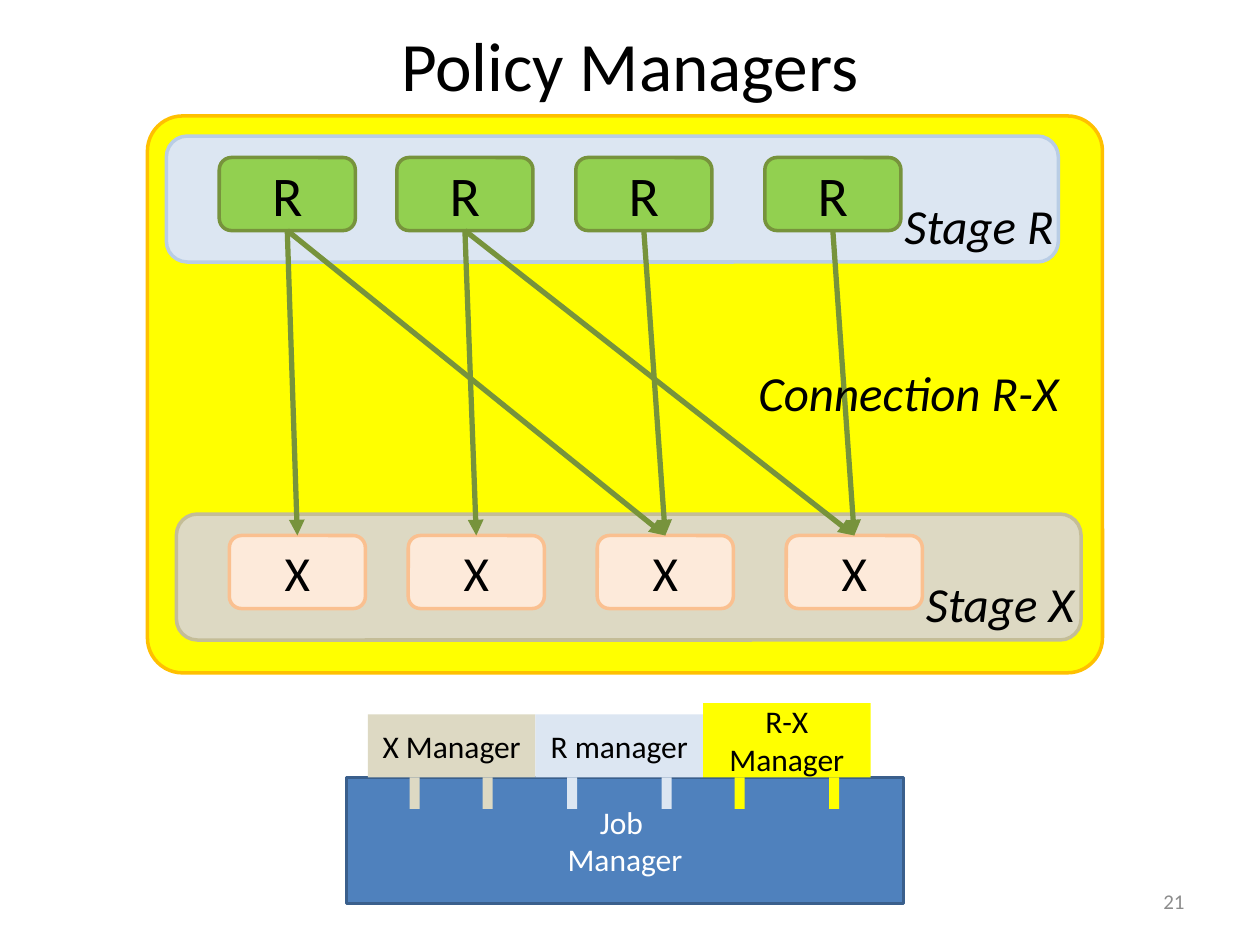
from typing import NamedTuple, Optional

from lxml.etree import SubElement
from pptx import Presentation
from pptx.dml.color import RGBColor
from pptx.enum.shapes import MSO_CONNECTOR, MSO_SHAPE
from pptx.enum.text import MSO_ANCHOR, MSO_AUTO_SIZE, PP_ALIGN
from pptx.oxml.ns import qn
from pptx.util import Inches, Pt

FONT = "Calibri"
BLACK, WHITE, GRAY = "000000", "FFFFFF", "8C8C8C"
YELLOW, PALE_BLUE, TAN = "FFFF00", "DCE6F2", "DDD9C3"
OLIVE = "77933C"
NODE_W, NODE_H = 1.08, 0.58
R_TOP, X_TOP = 1.25, 4.25
TAB_W, JOB_TOP = 1.33, 6.17


class Box(NamedTuple):
    left: float
    top: float
    width: float
    height: float


class Style(NamedTuple):
    fill: str
    line: Optional[str] = None
    size: float = 18
    color: str = BLACK
    rounded: bool = False


class Tab(NamedTuple):
    text: str
    left: float
    top: float
    fill: str
    prongs: tuple[float, float]


def rgb(value: str) -> RGBColor:
    return RGBColor.from_string(value)


def write(tf, text: str, size: float, color: str, align=PP_ALIGN.CENTER,
          italic: bool = False) -> None:
    for i, line in enumerate(text.split("\n")):
        p = tf.add_paragraph() if i else tf.paragraphs[0]
        p.text = line
        p.alignment = align
        p.font.name = FONT
        p.font.size = Pt(size)
        p.font.italic = italic
        p.font.color.rgb = rgb(color)


def add_box(slide, box: Box, style: Style, text: str = "",
            corner: Optional[float] = None) -> None:
    kind = MSO_SHAPE.ROUNDED_RECTANGLE if style.rounded else MSO_SHAPE.RECTANGLE
    sp = slide.shapes.add_shape(kind, *map(Inches, box))
    sp.shadow.inherit = False
    sp.fill.solid()
    sp.fill.fore_color.rgb = rgb(style.fill)
    if style.line:
        sp.line.color.rgb = rgb(style.line)
        sp.line.width = Pt(2)
    else:
        sp.line.fill.background()
    if corner is not None:
        sp.adjustments[0] = corner
    if text:
        sp.text_frame.vertical_anchor = MSO_ANCHOR.MIDDLE
        write(sp.text_frame, text, style.size, style.color)


def add_text(slide, box: Box, text: str, size: float, color: str, align) -> None:
    tf = slide.shapes.add_textbox(*map(Inches, box)).text_frame
    tf.word_wrap = True
    tf.vertical_anchor = MSO_ANCHOR.MIDDLE
    write(tf, text, size, color, align)


def add_label(slide, box: Box, text: str) -> None:
    tf = slide.shapes.add_textbox(*map(Inches, box)).text_frame
    tf.word_wrap = False
    tf.auto_size = MSO_AUTO_SIZE.SHAPE_TO_FIT_TEXT
    write(tf, text, 28, BLACK, PP_ALIGN.LEFT, italic=True)


def add_arrow(slide, x1: float, y1: float, x2: float, y2: float) -> None:
    c = slide.shapes.add_connector(MSO_CONNECTOR.STRAIGHT,
                                   *map(Inches, (x1, y1, x2, y2)))
    c.line.color.rgb = rgb(OLIVE)
    c.line.width = Pt(3)
    SubElement(c.line._get_or_add_ln(), qn("a:tailEnd"), type="triangle")
    SubElement(c._element.spPr, qn("a:effectLst"))


def main() -> None:
    prs = Presentation()
    prs.slide_width, prs.slide_height = Inches(10), Inches(7.5)
    slide = prs.slides.add_slide(prs.slide_layouts[6])

    # Title and page number
    add_text(slide, Box(0.5, 0.17, 9, 0.67), "Policy Managers", 39.6, BLACK,
             PP_ALIGN.CENTER)
    add_text(slide, Box(7.17, 6.95, 2.33, 0.4), "21", 12, GRAY, PP_ALIGN.RIGHT)

    # Connection area and the two stages
    add_box(slide, Box(1.17, 0.92, 7.58, 4.42),
            Style(YELLOW, "FFC000", rounded=True), corner=0.063)
    add_box(slide, Box(1.4, 4.08, 7.18, 1), Style(TAN, "C4BD97", rounded=True))
    add_box(slide, Box(1.32, 1.08, 7.08, 1),
            Style(PALE_BLUE, "B9CDE5", rounded=True))

    # Stage vertices
    r_lefts = (1.74, 3.15, 4.57, 6.07)
    x_lefts = (1.82, 3.24, 4.74, 6.24)
    r_style = Style("92D050", OLIVE, 32, rounded=True)
    x_style = Style("FDEADA", "FAC090", 28, rounded=True)
    for name, lefts, top, style in (("R", r_lefts, R_TOP, r_style),
                                    ("X", x_lefts, X_TOP, x_style)):
        for left in lefts:
            add_box(slide, Box(left, top, NODE_W, NODE_H), style, name)

    # Edges from R vertices to X vertices
    for r, x in ((0, 0), (1, 1), (0, 2), (1, 3), (3, 3), (2, 2)):
        add_arrow(slide, r_lefts[r] + NODE_W / 2, R_TOP + NODE_H,
                  x_lefts[x] + NODE_W / 2, X_TOP)

    # Labels
    add_label(slide, Box(7.08, 1.5, 1.4, 0.57), "Stage R")
    add_label(slide, Box(7.25, 4.5, 1.39, 0.57), "Stage X")
    add_label(slide, Box(5.92, 2.83, 2.61, 0.57), "Connection R-X")

    # Job manager with plugged-in policy managers
    add_box(slide, Box(2.75, JOB_TOP, 4.42, 1),
            Style("4F81BD", "3A5F8C", color=WHITE), "Job \nManager")
    tabs = (
        Tab("X Manager", 2.92, 5.67, TAN, (3.25, 3.83)),
        Tab("R manager", 4.25, 5.67, PALE_BLUE, (4.5, 5.25)),
        Tab("R-X Manager", 5.58, 5.58, YELLOW, (5.83, 6.58)),
    )
    for tab in tabs:
        add_box(slide, Box(tab.left, tab.top, TAB_W, JOB_TOP - tab.top),
                Style(tab.fill), tab.text)
        for left in tab.prongs:
            add_box(slide, Box(left, JOB_TOP, 0.08, 0.25), Style(tab.fill))

    prs.save("out.pptx")


if __name__ == "__main__":
    main()
